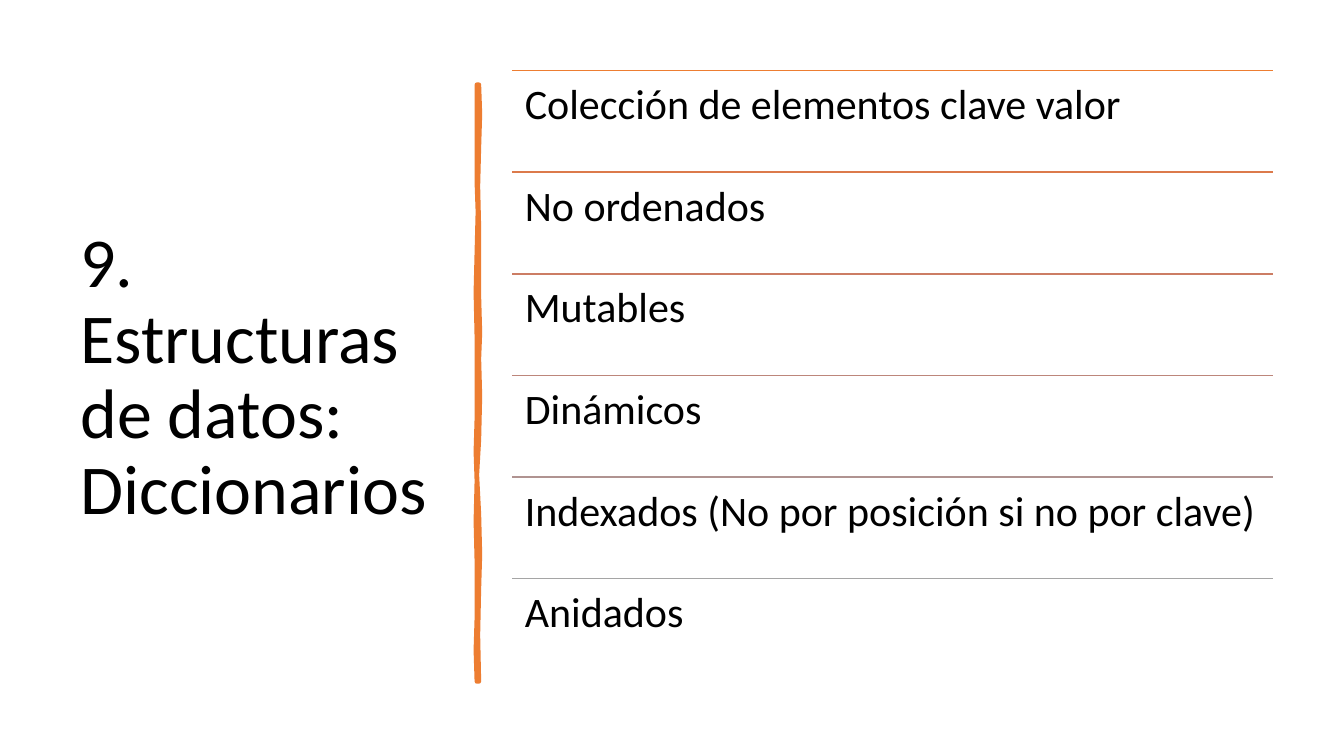
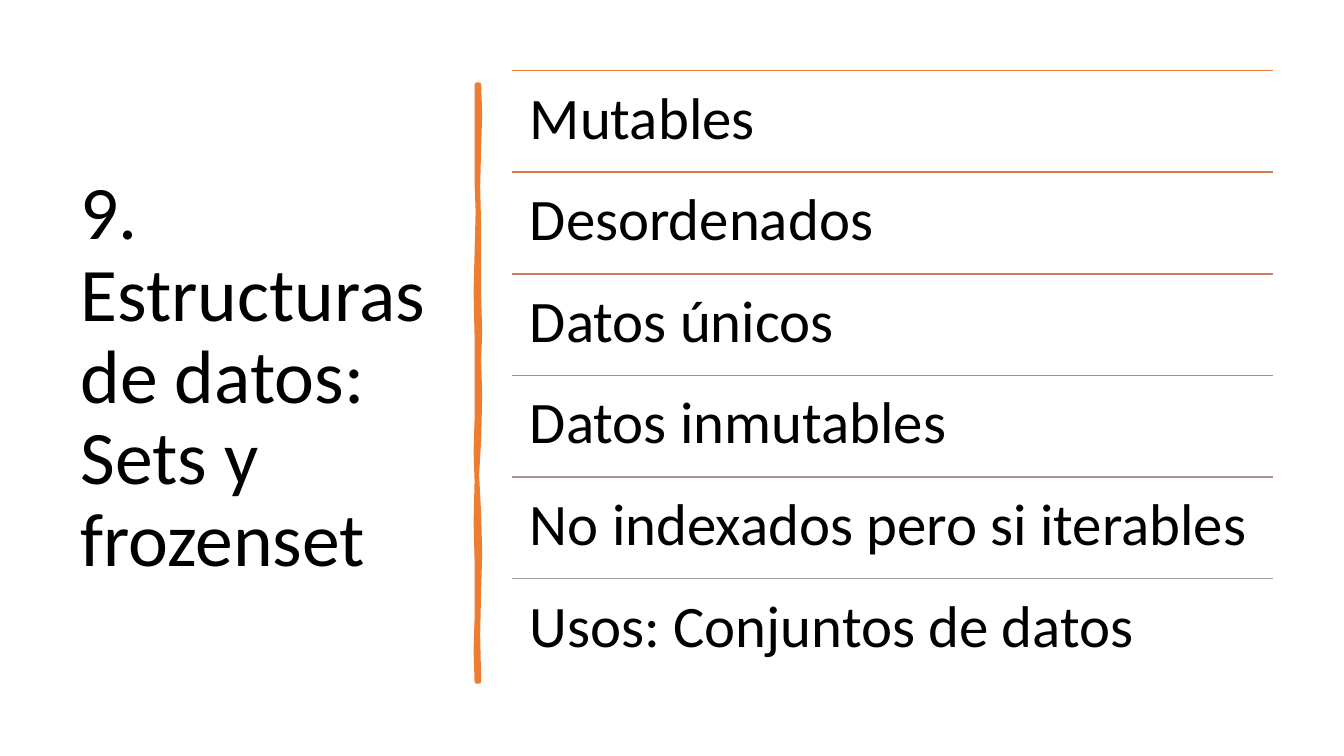
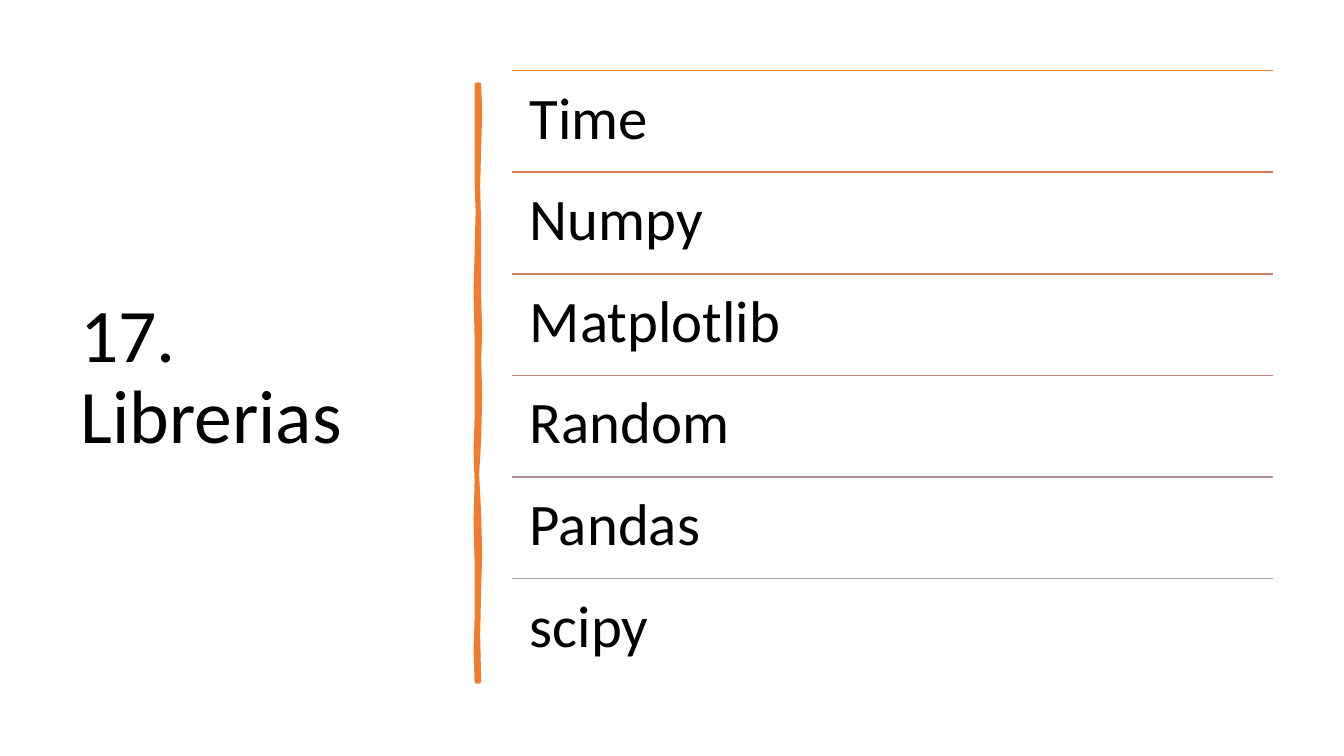
from lxml.etree import SubElement
from pptx import Presentation
from pptx.dml.color import RGBColor
from pptx.enum.shapes import MSO_CONNECTOR as Connector
from pptx.enum.text import MSO_ANCHOR as Anchor
from pptx.oxml.ns import qn
from pptx.util import Inches, Pt

SLIDES = [
    {
        "title": "9. Estructuras de datos: Diccionarios",
        "title_size": 50,
        "item_size": 30,
        "items": [
            "Colección de elementos clave valor",
            "No ordenados",
            "Mutables",
            "Dinámicos",
            "Indexados (No por posición si no por clave)",
            "Anidados",
        ],
    },
    {
        "title": "9. Estructuras de datos: Sets y frozenset",
        "title_size": 54,
        "item_size": 42,
        "items": [
            "Mutables",
            "Desordenados",
            "Datos únicos",
            "Datos inmutables",
            "No indexados pero si iterables",
            "Usos: Conjuntos de datos",
        ],
    },
    {
        "title": "17. Librerias",
        "title_size": 54,
        "item_size": 42,
        "items": ["Time", "Numpy", "Matplotlib", "Random", "Pandas", "scipy"],
    },
]

FONT = "Calibri"
INK = "000000"
ACCENT = "ED7D31"
RULE_COLORS = [ACCENT, "DC7A4B", "CC7D64", "BD867B", "B09391", "A5A5A5"]

WIDTH, HEIGHT = 13.33, 7.5
TITLE_BOX = (0.7, 0.7, 3.73, 6.11)
TITLE_INSETS = (0.1, 0.05)
LIST_LEFT, LIST_TOP, LIST_WIDTH, LIST_HEIGHT = 5.08, 0.7, 7.55, 6.05
POINTS_PER_INSET_INCH = 240

BRUSH_OUTLINE = [
    (4.75, 0.84), (4.76, 1.13), (4.75, 1.46), (4.74, 1.85), (4.75, 2.26),
    (4.75, 2.94), (4.76, 3.3), (4.75, 3.56), (4.76, 3.93), (4.75, 4.36),
    (4.73, 4.71), (4.75, 5.1), (4.76, 5.5), (4.75, 5.84), (4.74, 6.3),
    (4.75, 6.76), (4.73, 6.76), (4.72, 6.45), (4.73, 6.13), (4.73, 5.57),
    (4.72, 5.17), (4.73, 4.77), (4.72, 4.48), (4.73, 4.15), (4.73, 3.35),
    (4.72, 2.9), (4.73, 2.5), (4.74, 2.1), (4.73, 1.81), (4.73, 1.33),
    (4.73, 0.84),
]


def color(hex_code):
    return RGBColor.from_string(hex_code)


def add_text(slide, text, box, size, insets, anchor):
    frame = slide.shapes.add_textbox(*map(Inches, box)).text_frame
    frame.word_wrap = True
    frame.vertical_anchor = anchor
    frame.margin_left = frame.margin_right = Inches(insets[0])
    frame.margin_top = frame.margin_bottom = Inches(insets[1])
    paragraph = frame.paragraphs[0]
    paragraph.text = text
    paragraph.line_spacing = 0.9
    paragraph.font.name = FONT
    paragraph.font.size = Pt(size)
    paragraph.font.color.rgb = color(INK)


def add_brush_stroke(slide):
    start, *rest = [(Inches(x), Inches(y)) for x, y in BRUSH_OUTLINE]
    builder = slide.shapes.build_freeform(*start)
    builder.add_line_segments(rest, close=True)
    brush = builder.convert_to_shape()
    brush.shadow.inherit = False
    brush.fill.solid()
    brush.fill.fore_color.rgb = color(ACCENT)
    brush.line.color.rgb = color(ACCENT)
    brush.line.width = Pt(3.25)
    SubElement(brush._element.spPr.find(qn("a:ln")), qn("a:round"))


def add_rule(slide, top, hex_code):
    ends = (LIST_LEFT, top, LIST_LEFT + LIST_WIDTH, top)
    rule = slide.shapes.add_connector(Connector.STRAIGHT, *map(Inches, ends))
    rule.line.color.rgb = color(hex_code)
    rule.line.width = Pt(1)
    SubElement(rule._element.spPr, qn("a:effectLst"))


def add_list(slide, items, size):
    row_height = LIST_HEIGHT / len(items)
    inset = size / POINTS_PER_INSET_INCH
    for row, (item, hex_code) in enumerate(zip(items, RULE_COLORS)):
        top = LIST_TOP + row * row_height
        add_rule(slide, top, hex_code)
        box = (LIST_LEFT, top, LIST_WIDTH, row_height)
        add_text(slide, item, box, size, (inset, inset), Anchor.TOP)


def main():
    deck = Presentation()
    deck.slide_width, deck.slide_height = Inches(WIDTH), Inches(HEIGHT)
    blank = deck.slide_layouts[6]
    for content in SLIDES:
        slide = deck.slides.add_slide(blank)
        add_text(slide, content["title"], TITLE_BOX, content["title_size"],
                 TITLE_INSETS, Anchor.MIDDLE)
        add_brush_stroke(slide)
        add_list(slide, content["items"], content["item_size"])
    deck.save("out.pptx")


if __name__ == "__main__":
    main()
